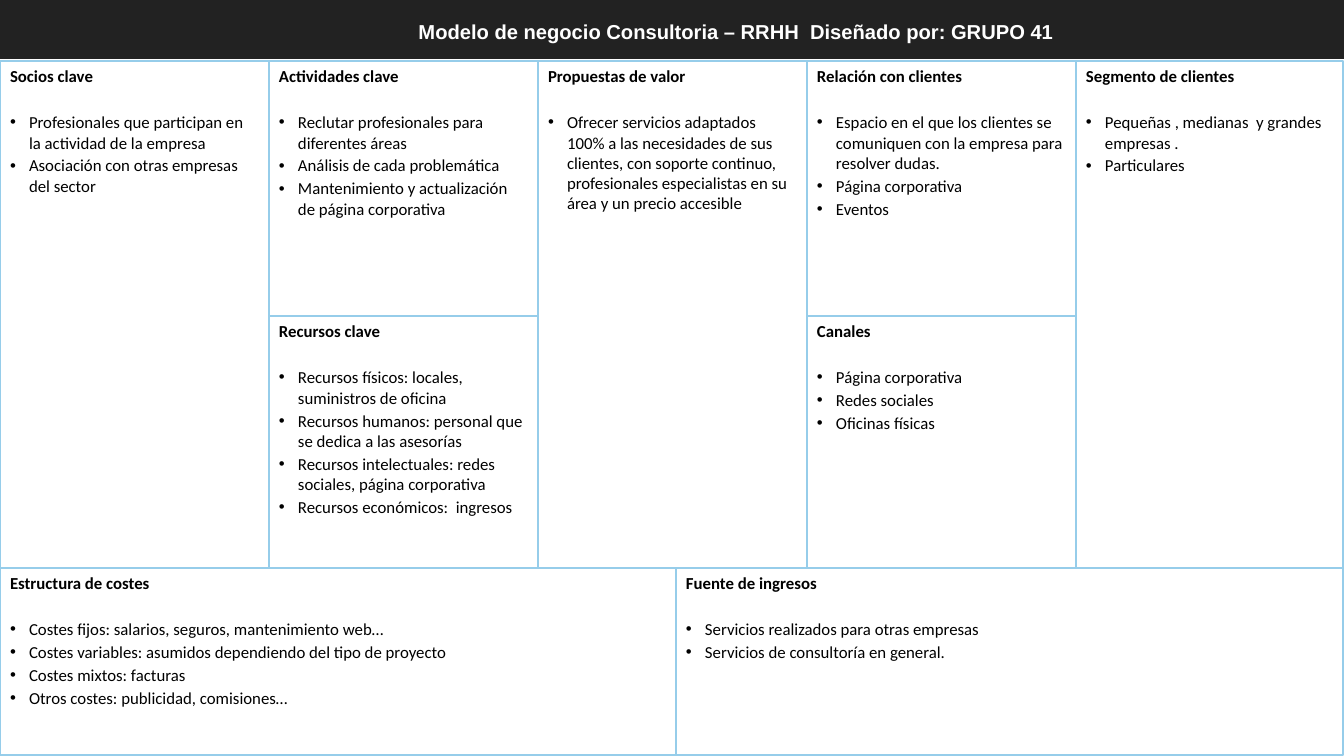
from copy import deepcopy

from lxml.etree import SubElement
from pptx import Presentation
from pptx.dml.color import RGBColor
from pptx.enum.shapes import MSO_SHAPE as Preset
from pptx.enum.text import MSO_ANCHOR as Anchor, MSO_AUTO_SIZE as AutoSize, PP_ALIGN as Align
from pptx.oxml.ns import qn
from pptx.util import Pt

WIDTH, HEIGHT = 1344, 756


def px(length):
    """Turn picture pixels into EMU."""
    return round(length * 914400 / 100.8)


def color(hex_string):
    """Turn a hex string into a colour."""
    return RGBColor.from_string(hex_string)


def layout_with_bodies(layout, count):
    """Give the layout as many body placeholders as the slide has blocks."""
    body = layout.placeholders[1].element
    for number in range(1, count):
        twin = deepcopy(body)
        twin.xpath(".//p:cNvPr")[0].set("id", str(100 + number))
        twin.xpath(".//p:ph")[0].set("idx", str(20 + number))
        layout.shapes.element.append(twin)
    return layout


class Canvas:
    """Hold the style and the current slide."""

    band_fill, frame, ink, title_ink = "222222", "96CDEA", "000000", "FFFFFF"
    title_font, body_font = "Arial", "Calibri"
    title_size, body_size = 14.4, 12
    gap, list_gap, indent = 2, 18.5, 19

    def __init__(self, slide):
        """Keep the slide and its unused body placeholders."""
        self.slide = slide
        self.bodies = iter(list(slide.placeholders)[1:])

    def place(self, shape, left, top, right, bottom):
        """Move a shape to its edges."""
        shape.left, shape.top = px(left), px(top)
        shape.width, shape.height = px(right - left), px(bottom - top)

    def style(self, paragraph, font, size, ink, bold):
        """Format the runs of a paragraph."""
        for run in paragraph.runs:
            run.font.name, run.font.size, run.font.bold = font, Pt(size), bold
            run.font.color.rgb = color(ink)

    def frame_text(self, shape, inset_x, inset_y, anchor):
        """Set the margins, wrapping and anchor of a shape's text."""
        frame = shape.text_frame
        frame.word_wrap, frame.auto_size = True, AutoSize.NONE
        frame.vertical_anchor = anchor
        frame.margin_left = frame.margin_right = px(inset_x)
        frame.margin_top = frame.margin_bottom = px(inset_y)
        return frame

    def band(self, *edges):
        """Draw the dark band behind the title."""
        band = self.slide.shapes.add_shape(Preset.RECTANGLE, 0, 0, 0, 0)
        self.place(band, *edges)
        band.shadow.inherit = False
        band.fill.solid()
        band.fill.fore_color.rgb = color(self.band_fill)
        band.line.fill.background()
        self.slide.shapes.element.insert(2, band.element)

    def title(self, text, *edges):
        """Fill the title placeholder."""
        title = self.slide.shapes.title
        self.place(title, *edges)
        frame = self.frame_text(title, 0, 0, Anchor.MIDDLE)
        frame.text = text
        heading = frame.paragraphs[0]
        heading.alignment = Align.CENTER
        self.style(heading, self.title_font, self.title_size, self.title_ink, True)

    def block(self, heading, items, *edges):
        """Fill one framed body placeholder with a heading and its list."""
        block = next(self.bodies)
        self.place(block, *edges)
        block.line.color.rgb = color(self.frame)
        block.line.width = Pt(2)
        frame = self.frame_text(block, 10, 5, Anchor.TOP)
        frame.text = "\n".join([heading, *items])
        for position, paragraph in enumerate(frame.paragraphs):
            is_heading = position == 0
            paragraph.alignment = Align.LEFT
            paragraph.space_before = Pt(self.list_gap if position == 1 else self.gap)
            self.bullet(paragraph, not is_heading)
            self.style(paragraph, self.body_font, self.body_size, self.ink, is_heading)

    def bullet(self, paragraph, shown):
        """Switch the bullet and hanging indent of a paragraph on or off."""
        indent = px(self.indent) if shown else 0
        properties = paragraph._p.get_or_add_pPr()
        properties.set("marL", str(indent))
        properties.set("indent", str(-indent))
        if shown:
            SubElement(properties, qn("a:buFont")).set("typeface", "Arial")
            SubElement(properties, qn("a:buChar")).set("char", "•")
        else:
            SubElement(properties, qn("a:buNone"))


COLUMNS = [269 * number for number in range(5)] + [WIDTH - 1]
SPLIT = 676
TOP, MIDDLE, COSTS, BOTTOM = 61, 316, 568, 755

BLOCKS = [
    ("Socios clave",
     ["Profesionales que participan en la actividad de la empresa",
      "Asociación con otras empresas del sector"],
     COLUMNS[0], TOP, COLUMNS[1], COSTS),
    ("Actividades clave",
     ["Reclutar profesionales para diferentes áreas",
      "Análisis de cada problemática",
      "Mantenimiento y actualización de página corporativa"],
     COLUMNS[1], TOP, COLUMNS[2], MIDDLE),
    ("Recursos clave",
     ["Recursos físicos: locales, suministros de oficina",
      "Recursos humanos: personal que se dedica a las asesorías",
      "Recursos intelectuales: redes sociales, página corporativa",
      "Recursos económicos:  ingresos"],
     COLUMNS[1], MIDDLE, COLUMNS[2], COSTS),
    ("Propuestas de valor",
     ["Ofrecer servicios adaptados 100% a las necesidades de sus clientes, con soporte "
      "continuo, profesionales especialistas en su área y un precio accesible"],
     COLUMNS[2], TOP, COLUMNS[3], COSTS),
    ("Relación con clientes",
     ["Espacio en el que los clientes se comuniquen con la empresa para resolver dudas.",
      "Página corporativa",
      "Eventos"],
     COLUMNS[3], TOP, COLUMNS[4], MIDDLE),
    ("Canales",
     ["Página corporativa", "Redes sociales", "Oficinas físicas"],
     COLUMNS[3], MIDDLE, COLUMNS[4], COSTS),
    ("Segmento de clientes",
     ["Pequeñas , medianas  y grandes empresas .", "Particulares"],
     COLUMNS[4], TOP, COLUMNS[5], COSTS),
    ("Estructura de costes",
     ["Costes fijos: salarios, seguros, mantenimiento web…",
      "Costes variables: asumidos dependiendo del tipo de proyecto",
      "Costes mixtos: facturas",
      "Otros costes: publicidad, comisiones…"],
     COLUMNS[0], COSTS, SPLIT, BOTTOM),
    ("Fuente de ingresos",
     ["Servicios realizados para otras empresas",
      "Servicios de consultoría en general."],
     SPLIT, COSTS, COLUMNS[5], BOTTOM),
]

presentation = Presentation()
presentation.slide_width, presentation.slide_height = px(WIDTH), px(HEIGHT)
layout = layout_with_bodies(presentation.slide_layouts[1], len(BLOCKS))
canvas = Canvas(presentation.slides.add_slide(layout))

canvas.band(0, 0, WIDTH, 59)
canvas.title("Modelo de negocio Consultoria – RRHH  Diseñado por: GRUPO 41", 276, 14, 1196, 48)
for block in BLOCKS:
    canvas.block(*block)

presentation.save("out.pptx")
